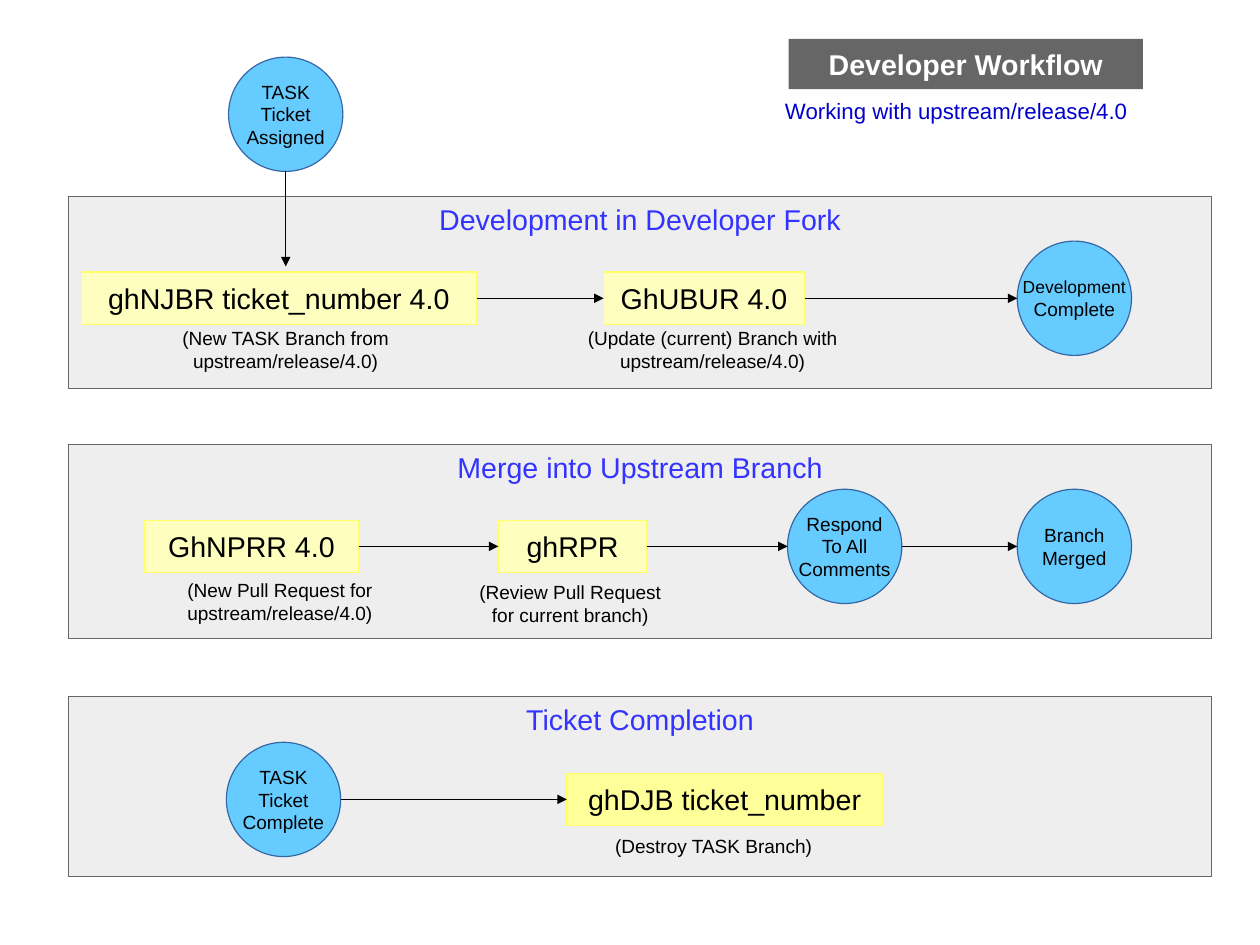
"""Build the developer workflow slide."""
from dataclasses import dataclass

from lxml import etree
from pptx import Presentation
from pptx import util as u
from pptx.dml import color as c
from pptx.enum import shapes, text
from pptx.oxml import ns


@dataclass(frozen=True)
class Theme:
    """Colours, type sizes and shared measures in points."""
    font: str = "Arial"
    ink: str = "000000"
    white: str = "FFFFFF"
    banner: str = "666666"
    subtitle: str = "0000CC"
    heading: str = "3333FF"
    panel: str = "EEEEEE"
    command: str = "FEFEBF"
    final_command: str = "FFFF99"
    command_line: str = "FFFF66"
    state: str = "66CCFF"
    state_line: str = "3465A4"
    large: int = 18
    medium: int = 14
    small: int = 12
    tiny: int = 11
    line: float = 0.75
    command_height: float = 33
    diameter: float = 72


THEME = Theme()


def write(shape, words, size, color, align=text.PP_ALIGN.CENTER,
          anchor=text.MSO_ANCHOR.MIDDLE, wrap=False, bold=False):
    """Write words into a shape, one paragraph per line."""
    frame = shape.text_frame
    frame.text = words
    frame.word_wrap = wrap
    frame.auto_size = text.MSO_AUTO_SIZE.NONE
    frame.vertical_anchor = anchor
    for paragraph in frame.paragraphs:
        paragraph.alignment = align
        paragraph.font.name = THEME.font
        paragraph.font.size = u.Pt(size)
        paragraph.font.bold = bold
        paragraph.font.color.rgb = c.RGBColor.from_string(color)


def paint(shape, fill):
    """Fill a shape with one colour."""
    shape.fill.solid()
    shape.fill.fore_color.rgb = c.RGBColor.from_string(fill)


def outline(shape, color):
    """Give a shape or connector a thin line."""
    shape.line.color.rgb = c.RGBColor.from_string(color)
    shape.line.width = u.Pt(THEME.line)


def add_block(slide, kind, box, fill, line):
    """Add a filled and outlined preset shape."""
    shape = slide.shapes.add_shape(kind, *map(u.Pt, box))
    shape.shadow.inherit = False
    paint(shape, fill)
    outline(shape, line)
    return shape


def add_label(slide, words, box, size, color, align=text.PP_ALIGN.CENTER):
    """Add a wrapping text box."""
    label = slide.shapes.add_textbox(*map(u.Pt, box))
    write(label, words, size, color, align, text.MSO_ANCHOR.TOP, wrap=True)


def add_arrow(slide, start, end):
    """Add a thin arrow between two points."""
    arrow = slide.shapes.add_connector(
        shapes.MSO_CONNECTOR.STRAIGHT, *map(u.Pt, (*start, *end)))
    outline(arrow, THEME.ink)
    properties = arrow._element.spPr
    etree.SubElement(properties.find(ns.qn("a:ln")), ns.qn("a:tailEnd"), type="triangle")
    etree.SubElement(properties, ns.qn("a:effectLst"))


def add_state(slide, words, left, top):
    """Add a round workflow state."""
    box = (left, top, THEME.diameter, THEME.diameter)
    state = add_block(slide, shapes.MSO_SHAPE.OVAL, box, THEME.state, THEME.state_line)
    write(state, words, THEME.small, THEME.ink)
    return state


def add_command(slide, words, left, top, width, fill):
    """Add a rectangular workflow command."""
    box = (left, top, width, THEME.command_height)
    command = add_block(slide, shapes.MSO_SHAPE.RECTANGLE, box, fill, THEME.command_line)
    write(command, words, THEME.large, THEME.ink)


def add_header(slide, box):
    """Place the title banner and its subtitle in a box."""
    left, top, width, height = box
    title = slide.shapes.title
    title.left, title.top, title.width, title.height = map(
        u.Pt, (left + 9.4, top, 223.2, 31.7))
    paint(title, THEME.banner)
    write(title, "Developer Workflow", THEME.large, THEME.white, wrap=True, bold=True)
    add_label(slide, "Working with upstream/release/4.0",
              (left, top + 33.1, width, height - 33.1),
              THEME.medium, THEME.subtitle, text.PP_ALIGN.LEFT)


def add_panel(slide, box, heading, rail_drop, nodes, captions, fill=THEME.command):
    """Place a headed panel with chained nodes and captions in a box."""
    left, top = box[:2]
    panel = add_block(slide, shapes.MSO_SHAPE.RECTANGLE, box, THEME.panel, THEME.banner)
    write(panel, heading, THEME.large, THEME.heading, anchor=text.MSO_ANCHOR.TOP)
    rail = top + rail_drop
    previous_edge = None
    states = []
    for words, offset, width in nodes:
        start = left + offset
        if width is None:
            width = THEME.diameter
            states.append(add_state(slide, words, start, rail - width / 2))
        else:
            add_command(slide, words, start, rail - THEME.command_height / 2, width, fill)
        if previous_edge is not None:
            add_arrow(slide, (previous_edge, rail), (start, rail))
        previous_edge = start + width
    for words, offset, drop, width in captions:
        add_label(slide, words, (left + offset, top + drop, width, 21),
                  THEME.small, THEME.ink)
    return states


def add_entry(slide, box):
    """Place the starting state at the top of a box and its arrow below."""
    left, top, width, height = box
    center = left + width / 2
    add_state(slide, "TASK\nTicket\nAssigned", left, top)
    add_arrow(slide, (center, top + THEME.diameter), (center, top + height))


def build():
    """Build and save the presentation."""
    presentation = Presentation()
    presentation.slide_width, presentation.slide_height = u.Pt(793.7), u.Pt(595.28)
    slide = presentation.slides.add_slide(presentation.slide_layouts[5])
    add_header(slide, (487.4, 24.5, 239.8, 56.2))
    development = add_panel(
        slide, (43.2, 123.8, 720, 121), "Development in Developer Fork", 64.1,
        [("ghNJBR ticket_number 4.0", 7.9, 249.1), ("GhUBUR 4.0", 337, 126.7),
         ("Development\nComplete", 597.6, None)],
        [("(New TASK Branch from upstream/release/4.0)", 50.4, 78.5, 172.8),
         ("(Update (current) Branch with upstream/release/4.0)", 308.9, 78.5, 193.7)])
    development[0].text_frame.paragraphs[0].font.size = u.Pt(THEME.tiny)
    add_panel(
        slide, (43.2, 280.1, 720, 122.4), "Merge into Upstream Branch", 64.1,
        [("GhNPRR 4.0", 47.5, 135.4), ("ghRPR", 270.7, 93.6),
         ("Respond\nTo All\nComments", 452.9, None), ("Branch\nMerged", 597.6, None)],
        [("(New Pull Request for upstream/release/4.0)", 43.2, 80.6, 180),
         ("(Review Pull Request\nfor current branch)", 247.7, 82.1, 136.8)])
    add_panel(
        slide, (43.2, 438.5, 720, 113.8), "Ticket Completion", 65.1,
        [("TASK\nTicket\nComplete", 99.4, None), ("ghDJB ticket_number", 313.9, 198.7)],
        [("(Destroy TASK Branch)", 328.9, 83.5, 155)], THEME.final_command)
    add_entry(slide, (144, 36, 72, 131.8))
    presentation.save("out.pptx")


build()
